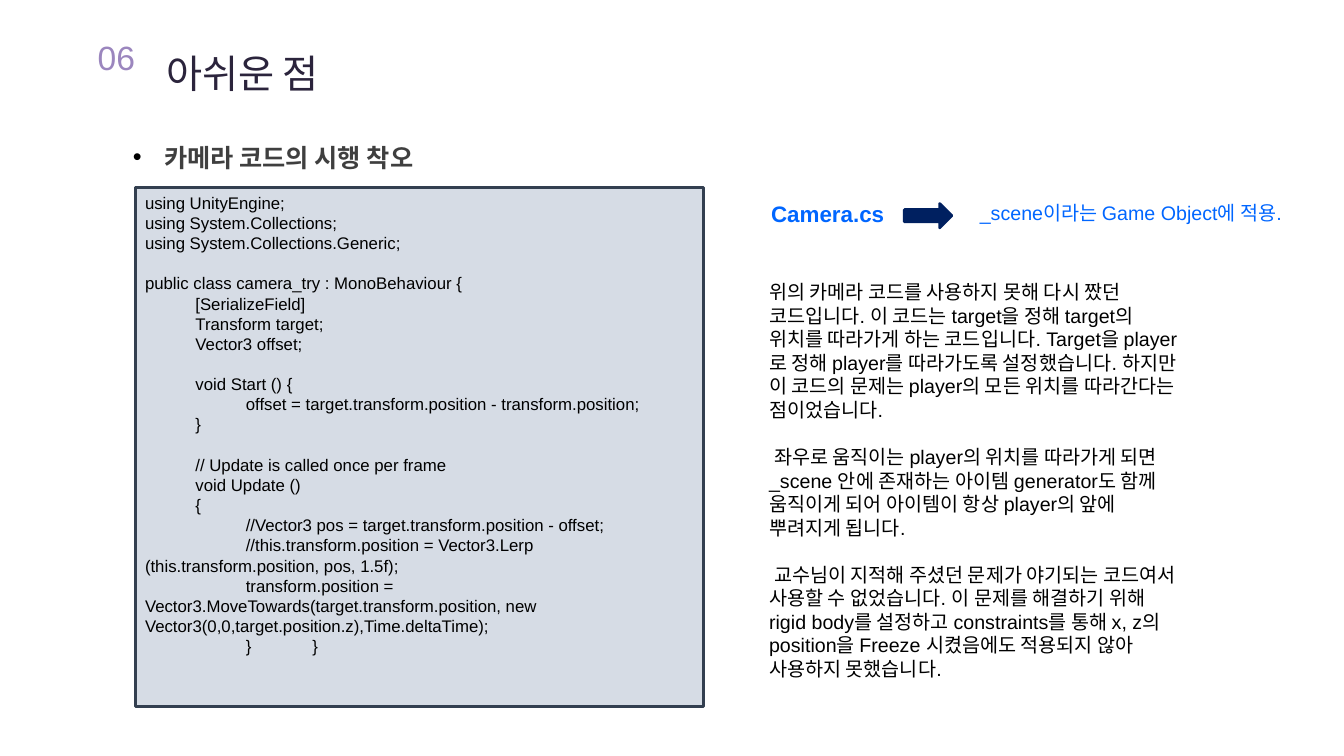
from dataclasses import dataclass, field

from lxml.etree import SubElement
from pptx import Presentation
from pptx.dml.color import RGBColor
from pptx.enum.shapes import MSO_SHAPE as Preset
from pptx.enum.text import MSO_ANCHOR as Anchor, PP_ALIGN as Align
from pptx.oxml.ns import qn
from pptx.util import Inches, Pt

FONT = "Arial"
BLACK, BLUE, NAVY = "000000", "0066FF", "002060"


@dataclass
class Line:
    text: str
    before: float = 0
    indent: float = 0
    bullet: str = ""
    tabs: tuple = ()


@dataclass
class Label:
    area: tuple
    lines: list
    size: float
    color: str = BLACK
    bold: bool = False
    wrap: bool = True
    format: dict = field(default_factory=dict)


def rgb(value: str) -> RGBColor:
    return RGBColor.from_string(value)


def add_marks(para, line: Line) -> None:
    """Set the indent, bullet and tab stops of a paragraph."""
    props = para._p.get_or_add_pPr()
    if line.indent:
        props.set("indent", str(Inches(line.indent)))
    if line.bullet:
        props.set("marL", str(Inches(-line.indent)))
        color = SubElement(props, qn("a:buClr"))
        SubElement(color, qn("a:srgbClr"), val=BLACK)
        SubElement(props, qn("a:buFont"), typeface=FONT)
        SubElement(props, qn("a:buChar"), char=line.bullet)
    if line.tabs:
        stops = SubElement(props, qn("a:tabLst"))
        for stop in line.tabs:
            SubElement(stops, qn("a:tab"), pos=str(Inches(stop)), algn="l")


def write(frame, label: Label) -> None:
    frame.word_wrap = label.wrap
    frame.vertical_anchor = Anchor.TOP
    for index, line in enumerate(label.lines):
        para = frame.add_paragraph() if index else frame.paragraphs[0]
        add_marks(para, line)
        settings = {"alignment": Align.LEFT, **label.format}
        if line.before:
            settings["space_before"] = Pt(line.before)
        for name, value in settings.items():
            setattr(para, name, value)
        span = para.add_run()
        span.text = line.text
        font = {"name": FONT, "size": Pt(label.size), "bold": label.bold}
        for name, value in font.items():
            setattr(span.font, name, value)
        span.font.color.rgb = rgb(label.color)


def add_label(page, label: Label) -> None:
    box = page.shapes.add_textbox(*map(Inches, label.area))
    write(box.text_frame, label)


def add_panel(page, preset, area: tuple, fill: str, edge: str, width: float):
    panel = page.shapes.add_shape(preset, *map(Inches, area))
    panel.shadow.inherit = False
    panel.fill.solid()
    panel.fill.fore_color.rgb = rgb(fill)
    panel.line.color.rgb = rgb(edge)
    panel.line.width = Pt(width)
    return panel


# Code listing: each block after the first starts one line lower
CODE_BLOCKS = [
    """using UnityEngine;
using System.Collections;
using System.Collections.Generic;""",
    """public class camera_try : MonoBehaviour {
\t[SerializeField]
\tTransform target;
\tVector3 offset;""",
    """\tvoid Start () {
\t\toffset = target.transform.position - transform.position;
\t}""",
    """\t// Update is called once per frame
\tvoid Update ()
\t{
\t\t//Vector3 pos = target.transform.position - offset;
\t\t//this.transform.position = Vector3.Lerp (this.transform.position, pos, 1.5f);
\t\ttransform.position = Vector3.MoveTowards(target.transform.position, new Vector3(0,0,target.position.z),Time.deltaTime);""",
]
CODE_GAP = 14.4
code_lines = [
    Line(text, before=CODE_GAP if block and not row else 0)
    for block, code in enumerate(CODE_BLOCKS)
    for row, text in enumerate(code.split("\n"))
]
code_lines.append(Line("\t}\t}", tabs=(1, 1.66)))
CODE_AREA = (1.34, 1.86, 5.64, 5.15)

# Headings and explanation
BODY_GAP = 16.8
SPACE = 0.05
LABELS = [
    Label((0.59, 0.32, 1.13, 0.75), [Line("06")], 24, "9B86BE",
          format={"alignment": Align.CENTER}),
    Label((1.55, 0.21, 3.83, 0.75), [Line("아쉬운 점")], 28, "2B243C",
          format={"line_spacing": 1.5}),
    Label((1.22, 1.21, 6.21, 0.52),
          [Line("카메라 코드의 시행 착오", indent=-0.31, bullet="•")],
          18, "3F3F3F", bold=True, format={"line_spacing": 1.5}),
    Label((7.55, 1.94, 1.34, 0.37), [Line("Camera.cs")], 16, BLUE,
          bold=True, wrap=False),
    Label((9.57, 1.94, 3.3, 0.34),
          [Line("_scene이라는 Game Object에 적용.", indent=SPACE)], 14, BLUE),
    Label((7.53, 2.73, 4.33, 4.11), [
        Line("위의 카메라 코드를 사용하지 못해 다시 짰던 코드입니다. 이 코드는 "
             "target을 정해 target의 위치를 따라가게 하는 코드입니다. Target을 "
             "player로 정해 player를 따라가도록 설정했습니다. 하지만 이 코드의 "
             "문제는 player의 모든 위치를 따라간다는 점이었습니다."),
        Line("좌우로 움직이는 player의 위치를 따라가게 되면 _scene 안에 존재하는 "
             "아이템 generator도 함께 움직이게 되어 아이템이 항상 player의 앞에 "
             "뿌려지게 됩니다.", before=BODY_GAP, indent=SPACE),
        Line("교수님이 지적해 주셨던 문제가 야기되는 코드여서 사용할 수 없었습니다. "
             "이 문제를 해결하기 위해 rigid body를 설정하고 constraints를 통해 "
             "x, z의 position을 Freeze 시켰음에도 적용되지 않아 사용하지 "
             "못했습니다.", before=BODY_GAP, indent=SPACE),
    ], 14),
]


def main() -> None:
    deck = Presentation()
    deck.slide_width, deck.slide_height = Inches(13.33), Inches(7.5)
    page = deck.slides.add_slide(deck.slide_layouts[6])

    # Code panel and arrow
    panel = add_panel(page, Preset.RECTANGLE, CODE_AREA, "D6DCE5", "333F50", 2.25)
    write(panel.text_frame, Label(CODE_AREA, code_lines, 12))
    add_panel(page, Preset.RIGHT_ARROW, (8.97, 2.02, 0.47, 0.24), NAVY, NAVY, 2)

    # Text boxes
    for label in LABELS:
        add_label(page, label)
    deck.save("out.pptx")


if __name__ == "__main__":
    main()
